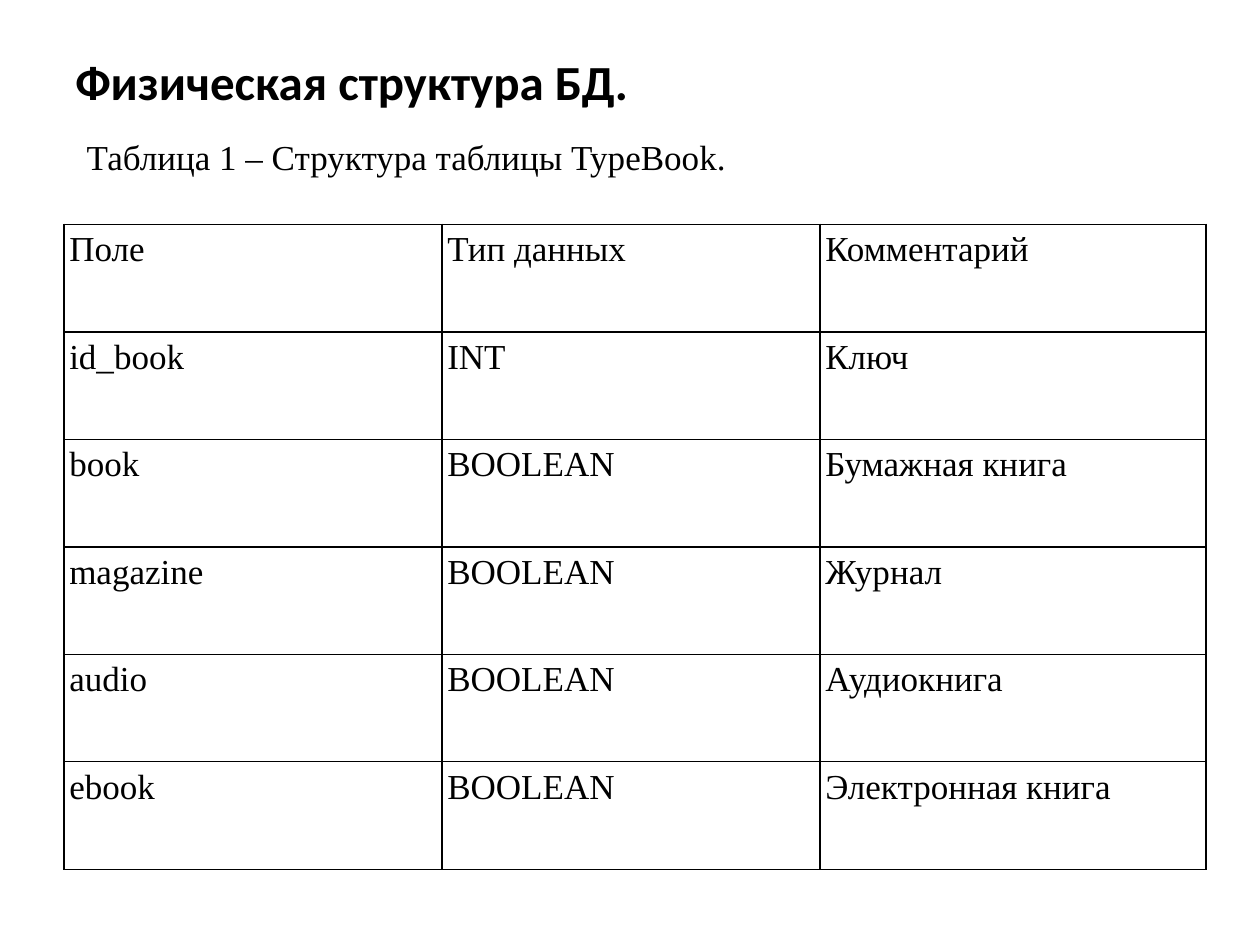
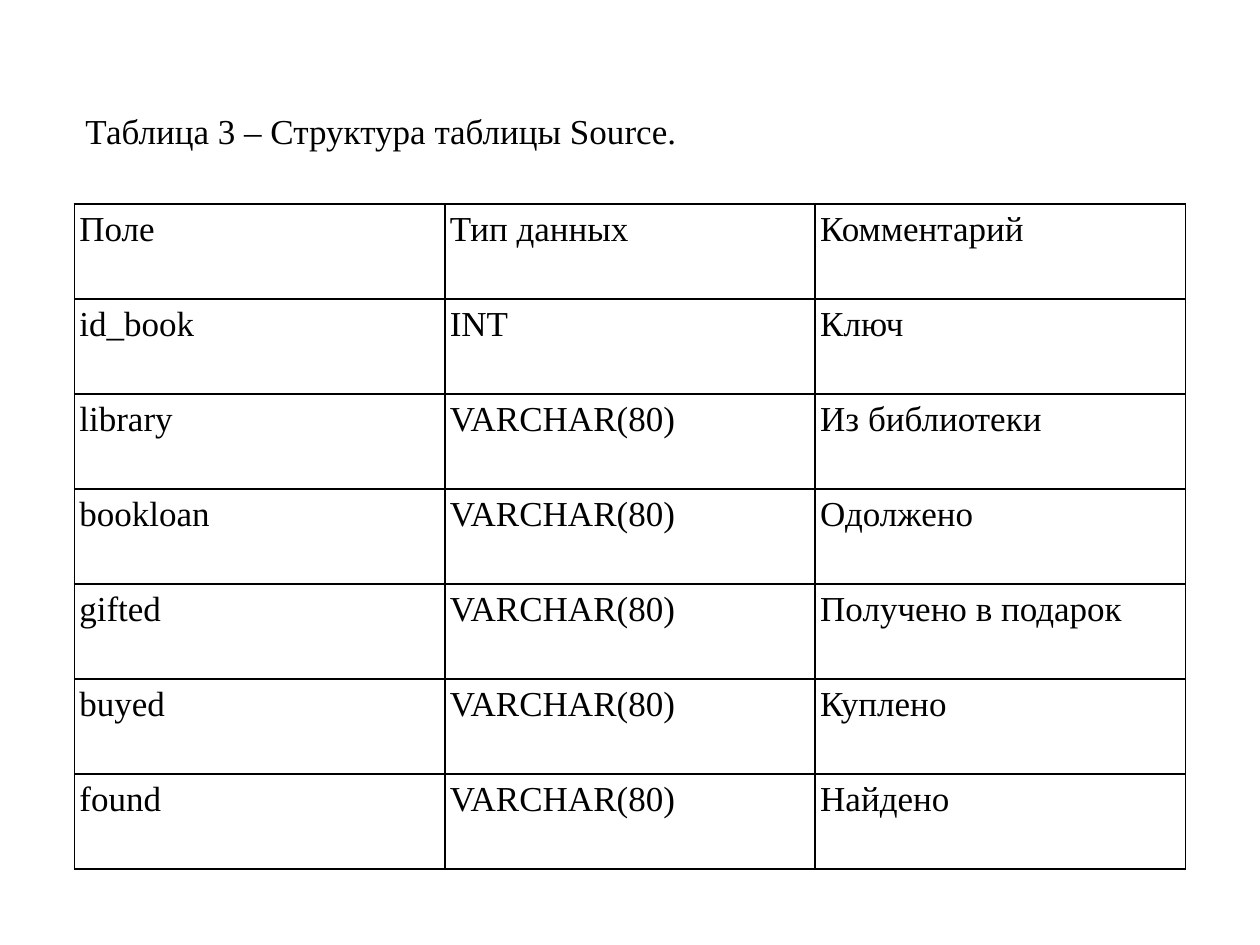
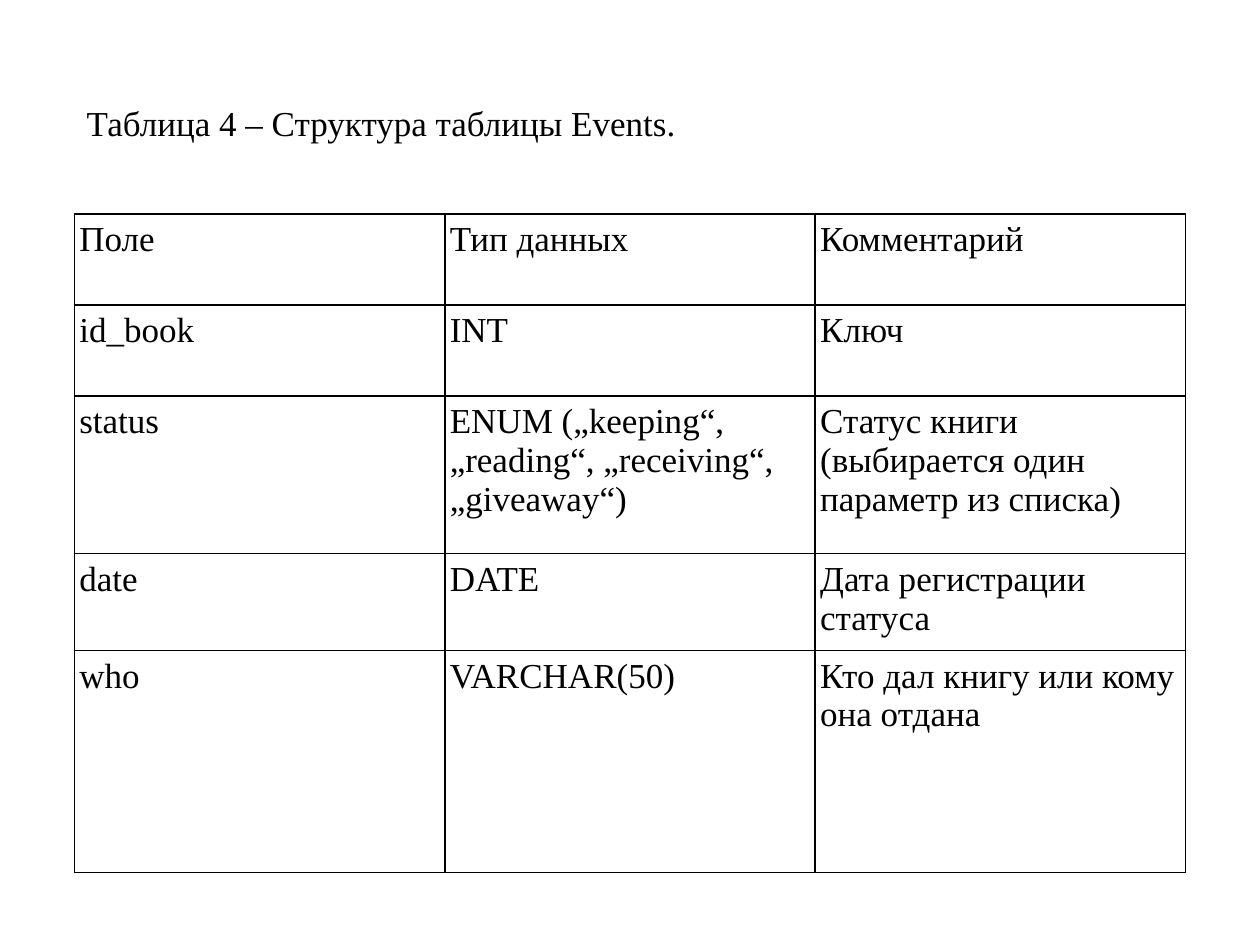
from dataclasses import dataclass

from lxml import etree
from pptx import Presentation
from pptx.dml.color import RGBColor
from pptx.enum.text import MSO_ANCHOR, MSO_AUTO_SIZE
from pptx.oxml.ns import qn
from pptx.slide import Slide
from pptx.table import _Cell
from pptx.text.text import TextFrame
from pptx.util import Emu, Inches, Pt

MIDDLE = MSO_ANCHOR.MIDDLE
TOP = MSO_ANCHOR.TOP
GROW = MSO_AUTO_SIZE.SHAPE_TO_FIT_TEXT

SLIDE_WIDTH, SLIDE_HEIGHT = Inches(10), Inches(7.5)
GRID_COLUMNS, GRID_ROWS = 100, 75
TABLE_BOTTOM = 69
CAPTION_HEIGHT = 4.3

COLORS = {"text": "000000", "border": "000000"}
BORDER_WIDTH = Pt(0.96)
BORDER_TAGS = ("a:lnL", "a:lnR", "a:lnT", "a:lnB")
HEADER = ("Поле", "Тип данных", "Комментарий")
KEY_ROW = ("id_book", "INT", "Ключ")


@dataclass(frozen=True)
class TextStyle:
    font: str
    size: int
    bold: bool = False


TITLE = TextStyle("Calibri", 28, True)
BODY = TextStyle("Times New Roman", 20)


@dataclass(frozen=True)
class Box:
    """Place on the slide, in grid columns and rows."""
    left: float
    top: float
    width: float
    height: float

    def lengths(self) -> tuple[Emu, Emu, Emu, Emu]:
        return (across(self.left), down(self.top),
                across(self.width), down(self.height))


@dataclass(frozen=True)
class TableSlide:
    caption: str
    caption_box: Box
    table_left: float
    table_top: float
    column_widths: tuple[float, ...]
    fields: tuple[tuple[str, str, str], ...]
    row_shares: tuple[float, ...] = ()
    title: str = ""


EQUAL_COLUMNS = (29.4, 29.4, 29.4)

TABLE_SLIDES = (
    TableSlide(
        title="Физическая структура БД.",
        caption="Таблица 1 – Структура таблицы TypeBook.",
        caption_box=Box(5.9, 10.3, 63, CAPTION_HEIGHT),
        table_left=5.1,
        table_top=17.8,
        column_widths=(30, 30, 30.6),
        fields=(
            ("book", "BOOLEAN", "Бумажная книга"),
            ("magazine", "BOOLEAN", "Журнал"),
            ("audio", "BOOLEAN", "Аудиокнига"),
            ("ebook", "BOOLEAN", "Электронная книга"),
        ),
    ),
    TableSlide(
        caption="Таблица 3 – Структура таблицы Source.",
        caption_box=Box(5.8, 8.2, 70.1, CAPTION_HEIGHT),
        table_left=5.9,
        table_top=16.2,
        column_widths=EQUAL_COLUMNS,
        fields=(
            ("library", "VARCHAR(80)", "Из библиотеки"),
            ("bookloan", "VARCHAR(80)", "Одолжено"),
            ("gifted", "VARCHAR(80)", "Получено в подарок"),
            ("buyed", "VARCHAR(80)", "Куплено"),
            ("found", "VARCHAR(80)", "Найдено"),
        ),
    ),
    TableSlide(
        caption="Таблица 4 – Структура таблицы Events.",
        caption_box=Box(5.9, 7.6, 65.4, CAPTION_HEIGHT),
        table_left=5.9,
        table_top=17,
        column_widths=EQUAL_COLUMNS,
        fields=(
            ("status", "ENUM („keeping“, „reading“, „receiving“, „giveaway“)",
             "Статус книги (выбирается один параметр из списка)"),
            ("date", "DATE", "Дата регистрации статуса"),
            ("who", "VARCHAR(50)", "Кто дал книгу или кому она отдана"),
        ),
        row_shares=(7.2, 7.2, 12.5, 7.4, 17.6),
    ),
)


def across(columns: float) -> Emu:
    return Emu(round(SLIDE_WIDTH * columns / GRID_COLUMNS))


def down(rows: float) -> Emu:
    return Emu(round(SLIDE_HEIGHT * rows / GRID_ROWS))


def write(text_frame: TextFrame, text: str, style: TextStyle) -> None:
    text_frame.text = text
    for run in text_frame.paragraphs[0].runs:
        run.font.name = style.font
        run.font.size = Pt(style.size)
        run.font.bold = style.bold
        run.font.color.rgb = RGBColor.from_string(COLORS["text"])


def add_text(slide: Slide, text: str, box: Box, style: TextStyle) -> TextFrame:
    text_frame = slide.shapes.add_textbox(*box.lengths()).text_frame
    text_frame.word_wrap = True
    write(text_frame, text, style)
    return text_frame


def add_borders(cell: _Cell) -> None:
    properties = cell._tc.get_or_add_tcPr()
    for tag in BORDER_TAGS:
        line = etree.SubElement(properties, qn(tag), w=str(BORDER_WIDTH))
        fill = etree.SubElement(line, qn("a:solidFill"))
        etree.SubElement(fill, qn("a:srgbClr"), val=COLORS["border"])


def fill_cell(cell: _Cell, text: str) -> None:
    write(cell.text_frame, text, BODY)
    cell.text_frame.paragraphs[0].space_after = Pt(10)
    cell.margin_left = cell.margin_right = Inches(0.04)
    cell.margin_top = cell.margin_bottom = Inches(0.05)
    cell.vertical_anchor = TOP
    add_borders(cell)
    cell.fill.background()


def add_field_table(slide: Slide, content: TableSlide) -> None:
    records = (HEADER, KEY_ROW, *content.fields)
    shares = content.row_shares or (1,) * len(records)
    box = Box(content.table_left, content.table_top,
              sum(content.column_widths), TABLE_BOTTOM - content.table_top)
    table = slide.shapes.add_table(len(records), len(HEADER), *box.lengths()).table
    table.first_row = False
    table.horz_banding = False
    for column, width in zip(table.columns, content.column_widths):
        column.width = across(width)
    for row, share, record in zip(table.rows, shares, records):
        row.height = down(box.height * share / sum(shares))
        for cell, text in zip(row.cells, record):
            fill_cell(cell, text)


def main() -> None:
    presentation = Presentation()
    presentation.slide_width = SLIDE_WIDTH
    presentation.slide_height = SLIDE_HEIGHT
    blank_layout = presentation.slide_layouts[6]
    for content in TABLE_SLIDES:
        slide = presentation.slides.add_slide(blank_layout)
        if content.title:
            title = add_text(slide, content.title, Box(5, 3, 90, 6.9), TITLE)
            title.vertical_anchor = MIDDLE
        caption = add_text(slide, content.caption, content.caption_box, BODY)
        caption.auto_size = GROW
        add_field_table(slide, content)
    presentation.save("out.pptx")


if __name__ == "__main__":
    main()
